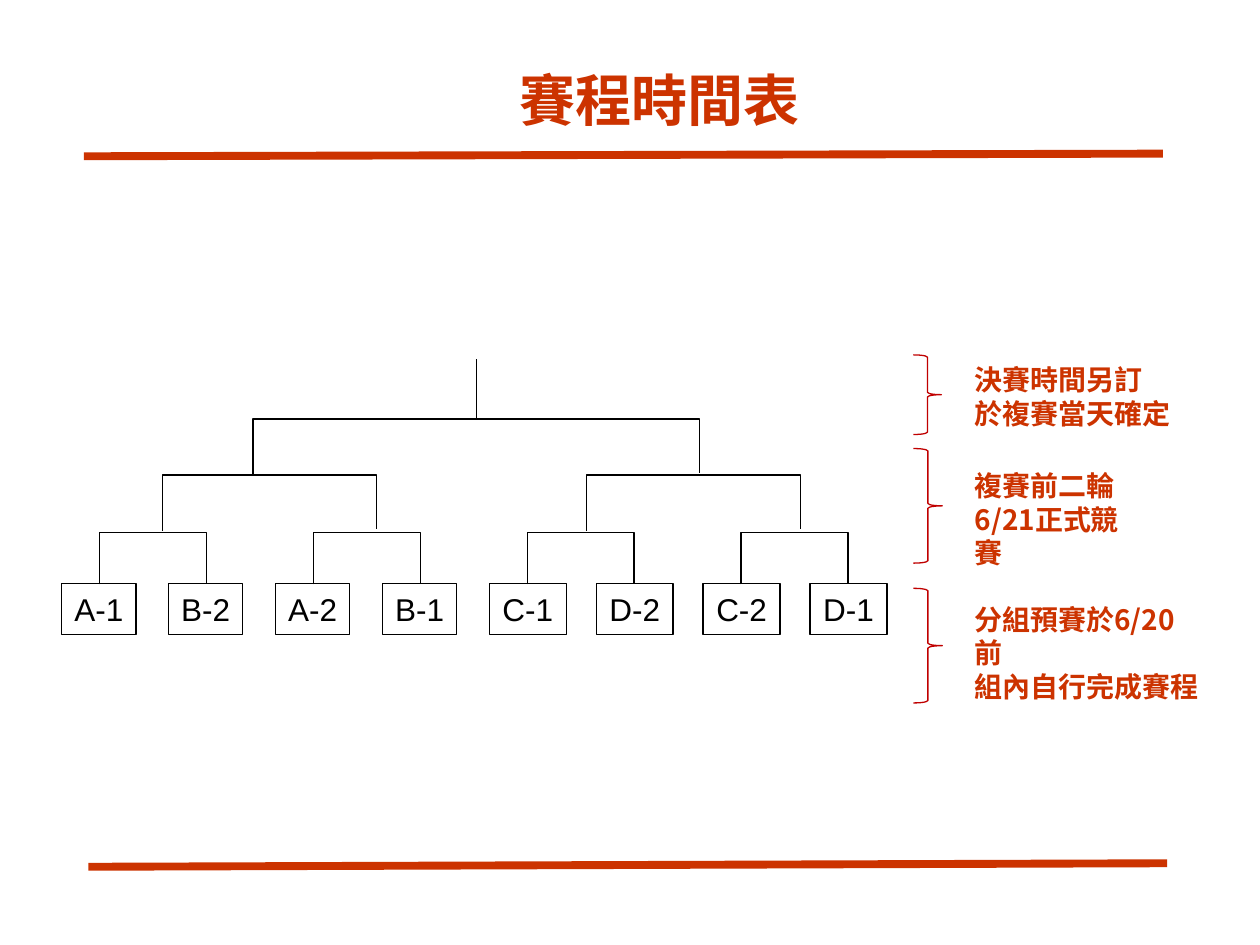
from lxml.etree import SubElement
from pptx import Presentation
from pptx.dml.color import RGBColor
from pptx.enum.shapes import MSO_CONNECTOR as Connector, MSO_SHAPE as Shape
from pptx.enum.text import MSO_ANCHOR as Anchor, PP_ALIGN as Align
from pptx.oxml.ns import qn
from pptx.util import Pt

RED = RGBColor(0xCC, 0x33, 0x00)
BRACE_RED = RGBColor(0xC0, 0x00, 0x00)
BLACK = RGBColor(0, 0, 0)
WHITE = RGBColor(0xFF, 0xFF, 0xFF)
LATIN = "Arial"
CHINESE = "Noto Sans CJK TC"


def write_text(shape, text, size=16, font=CHINESE, color=RED, bold=True,
               align=Align.LEFT, anchor=Anchor.TOP, wrap=True, spacing=None, bottom=3.6):
    frame = shape.text_frame
    frame.word_wrap = wrap
    frame.vertical_anchor = anchor
    frame.margin_bottom = Pt(bottom)
    for index, line in enumerate(text.split("\n")):
        paragraph = frame.paragraphs[0] if index == 0 else frame.add_paragraph()
        paragraph.alignment = align
        if spacing:
            paragraph.line_spacing = Pt(spacing)
        run = paragraph.add_run()
        run.text = line
        run.font.size = Pt(size)
        run.font.bold = bold
        run.font.color.rgb = color
        run.font.name = font
        SubElement(run.font._element, qn("a:ea"), typeface=CHINESE)


def add_text(slide, box, text, **text_format):
    shape = slide.shapes.add_textbox(*map(Pt, box))
    write_text(shape, text, **text_format)


def add_outlined(slide, kind, box, color):
    shape = slide.shapes.add_shape(kind, *map(Pt, box))
    shape.shadow.inherit = False
    shape.line.color.rgb = color
    shape.line.width = Pt(0.75)
    return shape


def add_line(slide, start, end, color=BLACK, width=0.75, kind=Connector.STRAIGHT):
    line = slide.shapes.add_connector(kind, *map(Pt, (*start, *end)))
    line.line.color.rgb = color
    line.line.width = Pt(width)
    SubElement(line._element.spPr, qn("a:effectLst"))
    return line


def add_match(slide, left, right, bottom, rise):
    span, depth = right - left, 1
    center_x, center_y = (left + right) / 2, bottom - depth / 2
    line = add_line(slide, (center_x - depth / 2, center_y - span / 2),
                    (center_x + depth / 2, center_y + span / 2), kind=Connector.ELBOW)
    properties = line._element.spPr
    frame = properties.find(qn("a:xfrm"))
    for name, value in (("rot", "5400000"), ("flipH", "1"), ("flipV", "1")):
        frame.set(name, value)
    guides = properties.find(qn("a:prstGeom")).find(qn("a:avLst"))
    SubElement(guides, qn("a:gd"), name="adj1", fmla=f"val {round(rise / depth * 100000)}")


def add_header_and_rules(slide, box):
    left, top, width, height = box
    add_line(slide, (left, top + 60.5), (left + 616.5, top + 59), RED, 4.5)
    add_line(slide, (left + 2.5, top + 466.5), (left + 619, top + 464.5), RED, 4.5)
    add_text(slide, (left + 11, top, width, height), "賽程時間表", size=32, font=LATIN,
             align=Align.CENTER, anchor=Anchor.BOTTOM, spacing=38.4, bottom=1)


def add_bracket(slide, box):
    left, top, step, team_height = box
    teams = ["A-1", "B-2", "A-2", "B-1", "C-1", "D-2", "C-2", "D-1"]
    team_top = top + 128.2
    for index, team in enumerate(teams):
        width = 42.5 if index < 4 else 44
        team_box = (left + index * step, team_top, width, team_height)
        shape = add_outlined(slide, Shape.RECTANGLE, team_box, BLACK)
        shape.fill.background()
        write_text(shape, team, size=18, font=LATIN, color=BLACK, bold=False,
                   align=Align.CENTER, anchor=Anchor.MIDDLE, wrap=False)

    first_line = left + 21.6
    for pair in range(4):
        match_left = first_line + 2 * pair * step
        add_match(slide, match_left, match_left + step, team_top + 0.6, 30)
    for match_left in (left + 57.7, left + 299.8):
        add_match(slide, match_left, match_left + 2 * step, top + 98.2, 32.2)
    add_match(slide, left + 109.4, left + 364.6, top + 66, 32)
    champion = left + 237
    add_line(slide, (champion, top + 34), (champion, top))


def add_stage(slide, box, brace_width, note_top, note_width, note):
    left, top, height = box
    brace = add_outlined(slide, Shape.RIGHT_BRACE, (left, top, brace_width, height), BRACE_RED)
    brace.fill.solid()
    brace.fill.fore_color.rgb = WHITE
    add_text(slide, (left + 28, note_top, note_width, 46), note, spacing=19.2)


def main():
    presentation = Presentation()
    presentation.slide_width, presentation.slide_height = Pt(720), Pt(540)
    slide = presentation.slides.add_slide(presentation.slide_layouts[6])
    add_header_and_rules(slide, (48, 28.8, 636, 48.2))
    add_bracket(slide, (35.2, 205.2, 61.1, 29))
    stages = [
        (336.2, 65.5, 16.5, 340.6, 144, "分組預賽於6/20前\n組內自行完成賽程"),
        (256.3, 65.5, 16.5, 264.2, 111.6, "複賽前二輪\n6/21正式競賽"),
        (202.8, 45.5, 16, 203.8, 127.4, "決賽時間另訂\n於複賽當天確定"),
    ]
    for top, height, *details in stages:
        add_stage(slide, (522, top, height), *details)
    presentation.save("out.pptx")


if __name__ == "__main__":
    main()
